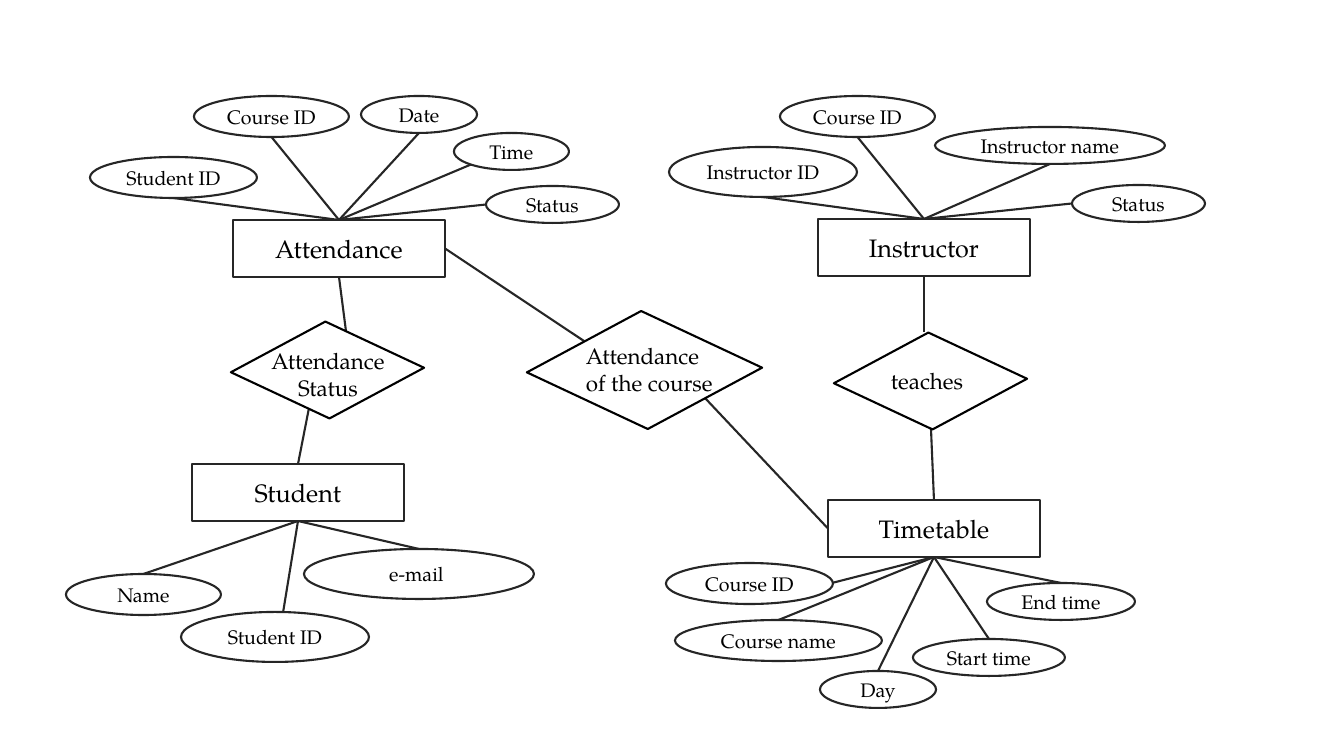
from lxml import etree
from pptx import Presentation
from pptx import util as u
from pptx.dml.color import RGBColor
from pptx.enum import shapes, text
from pptx.oxml.ns import qn

SCALE = 914400 / 100.8
FONT = "TeX Gyre Pagella"
COLOURS = {"paper": "FFFFFF", "outline": "262626", "ink": "000000"}
ENTITY_SIZE = (212, 57)
RECT_SITES = {"top": 0, "left": 1, "bottom": 2, "right": 3}
OVAL_SITES = {"top": 0, "left": 2, "lower left": 3, "bottom": 4}
ANCHORS = {"top": (0.5, 0), "left": (0, 0.5), "bottom": (0.5, 1),
           "right": (1, 0.5), "lower left": (0.146, 0.854)}

# entity: (left, top), side the attributes hang from, attributes (name, box, linked side)
ENTITIES = {
    "Attendance": ((233, 220), "top", [
        ("Student ID", (90, 157, 167, 41), "bottom"),
        ("Course ID", (194, 96, 155, 41), "bottom"),
        ("Date", (361, 96, 116, 37), "bottom"),
        ("Time", (454, 133, 115, 37), "lower left"),
        ("Status", (486, 186, 133, 37), "left")]),
    "Instructor": ((818, 219), "top", [
        ("Instructor ID", (669, 147, 188, 50), "bottom"),
        ("Course ID", (780, 96, 155, 41), "bottom"),
        ("Instructor name", (935, 127, 230, 37), "bottom"),
        ("Status", (1072, 185, 133, 37), "left")]),
    "Student": ((192, 464), "bottom", [
        ("Name", (66, 574, 155, 41), "top"),
        ("Student ID", (181, 612, 188, 50), "bottom"),
        ("e-mail ", (304, 549, 230, 50), "top")]),
    "Timetable": ((828, 500), "bottom", [
        ("Course ID", (666, 563, 167, 41), "bottom"),
        ("Course name", (675, 620, 207, 41), "top"),
        ("Day", (820, 671, 116, 37), "top"),
        ("Start time", (913, 639, 152, 37), "top"),
        ("End time", (987, 583, 148, 37), "top")]),
}

LEFT, CENTER = text.PP_ALIGN.LEFT, text.PP_ALIGN.CENTER
# diamond box, label box, label lines, links (entity, side, point on the diamond)
RELATIONSHIPS = [
    ((844, 338, 173, 86), (881, 362, 94, 37), [("teaches", LEFT)],
     [("Instructor", "bottom", (924, 332)), ("Timetable", "top", (931, 428))]),
    ((241, 327, 173, 86), (260, 342, 136, 65),
     [("Attendance", CENTER), ("Status", CENTER)],
     [("Attendance", "bottom", (346, 331)), ("Student", "top", (309, 408))]),
    ((539, 318, 211, 104), (576, 337, 148, 65),
     [("Attendance", LEFT), ("of the course", CENTER)],
     [("Attendance", "right", (584, 341)), ("Timetable", "left", (705, 398))]),
]


def px(*lengths):
    """Turn pixels into EMU."""
    return [u.Emu(round(length * SCALE)) for length in lengths]


def colour(name):
    """Look up a colour by its role."""
    return RGBColor.from_string(COLOURS[name])


def write(frame, lines, size):
    """Fill a text frame with (words, alignment) lines."""
    for number, (words, align) in enumerate(lines):
        para = frame.add_paragraph() if number else frame.paragraphs[0]
        para.alignment = align
        span = para.add_run()
        span.text = words
        span.font.name, span.font.size = FONT, u.Pt(size)
        span.font.color.rgb = colour("ink")


def add_outline(kind, box, line="outline"):
    """Add a shape with a plain outline and no shadow."""
    shape = page.shapes.add_shape(kind, *px(*box))
    shape.shadow.inherit = False
    shape.line.color.rgb = colour(line)
    shape.line.width = u.Pt(1.5)
    return shape


def add_node(kind, box, label, size):
    """Add a white shape with a centred label."""
    node = add_outline(kind, box)
    node.fill.solid()
    node.fill.fore_color.rgb = colour("paper")
    frame = node.text_frame
    frame.word_wrap = True
    frame.margin_left = frame.margin_right = 0
    frame.vertical_anchor = text.MSO_ANCHOR.MIDDLE
    write(frame, [(label, CENTER)], size)
    return node


def add_link(entity, side, point):
    """Draw a line from a side of an entity to a point, behind all shapes."""
    link = page.shapes.add_connector(
        shapes.MSO_CONNECTOR.STRAIGHT, 0, 0, *px(*point))
    link.begin_connect(entity, RECT_SITES[side])
    link.line.color.rgb = colour("outline")
    link.line.width = u.Pt(1.5)
    etree.SubElement(link._element.spPr, qn("a:effectLst"))
    page.shapes._spTree.insert(2, link._element)
    return link


def add_attribute(entity, side, label, box, linked_side):
    """Add an attribute oval and tie it to its entity."""
    oval = add_node(shapes.MSO_SHAPE.OVAL, box, label, 14)
    left, top, width, height = box
    across, down = ANCHORS[linked_side]
    link = add_link(entity, side, (left + across * width, top + down * height))
    ties = link._element.find(".//" + qn("p:cNvCxnSpPr"))
    etree.SubElement(ties, qn("a:endCxn"), id=str(oval.shape_id),
                     idx=str(OVAL_SITES[linked_side]))


def add_relationship(box, label_box, lines):
    """Add a slanted diamond and its upright label."""
    diamond = add_outline(shapes.MSO_SHAPE.PARALLELOGRAM, box, "ink")
    diamond.adjustments[0] = 0.745
    diamond.rotation = 25.1
    diamond.fill.background()
    frame = page.shapes.add_textbox(*px(*label_box)).text_frame
    frame.word_wrap = False
    frame.auto_size = text.MSO_AUTO_SIZE.SHAPE_TO_FIT_TEXT
    write(frame, lines, 16)


deck = Presentation()
deck.slide_width, deck.slide_height = px(1344, 756)
page = deck.slides.add_slide(deck.slide_layouts[6])

entities = {}
for name, (corner, side, attributes) in ENTITIES.items():
    entities[name] = add_node(
        shapes.MSO_SHAPE.RECTANGLE, corner + ENTITY_SIZE, name, 18)
    for attribute in attributes:
        add_attribute(entities[name], side, *attribute)

for box, label_box, lines, links in RELATIONSHIPS:
    add_relationship(box, label_box, lines)
    for name, side, point in links:
        add_link(entities[name], side, point)

deck.save("out.pptx")
